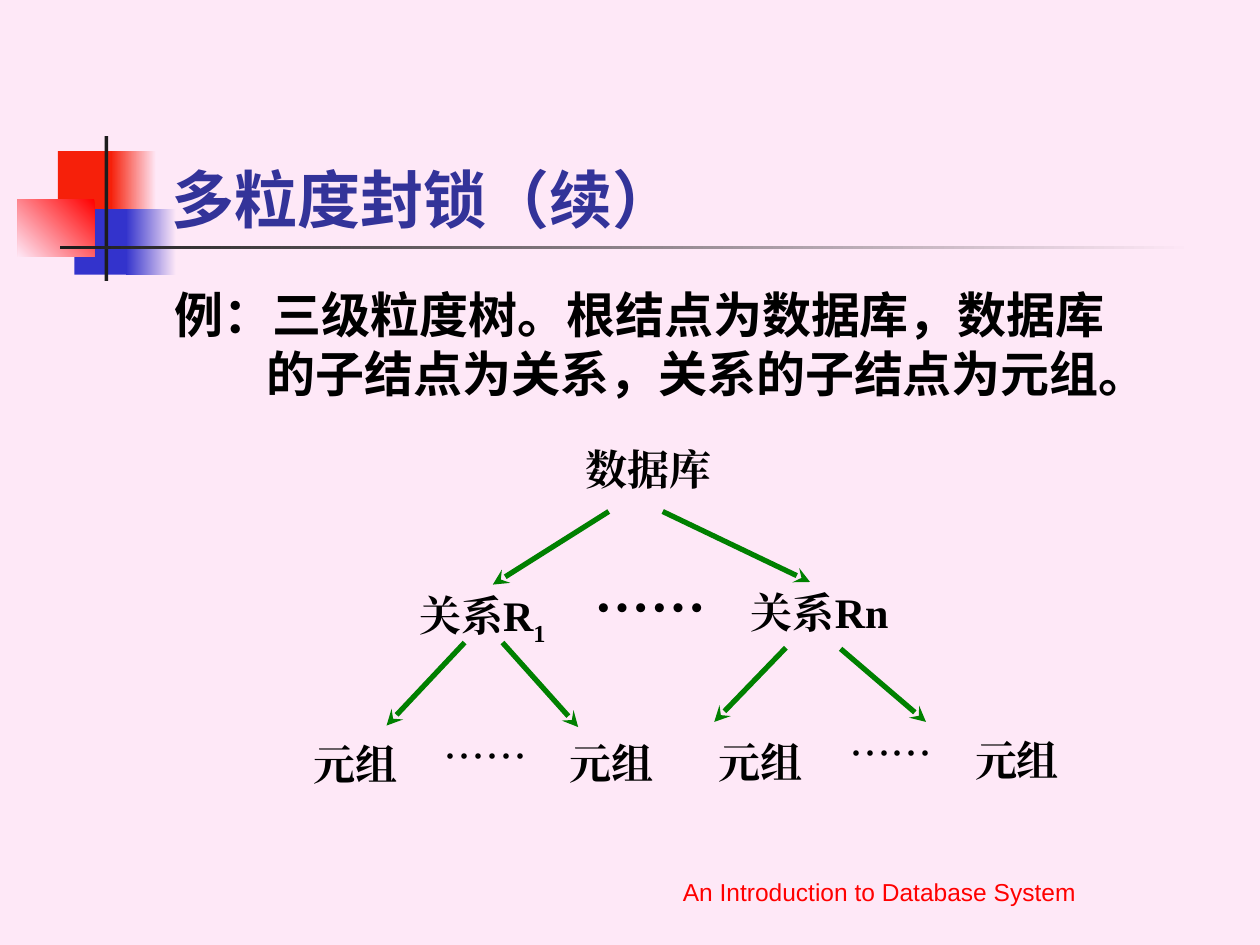
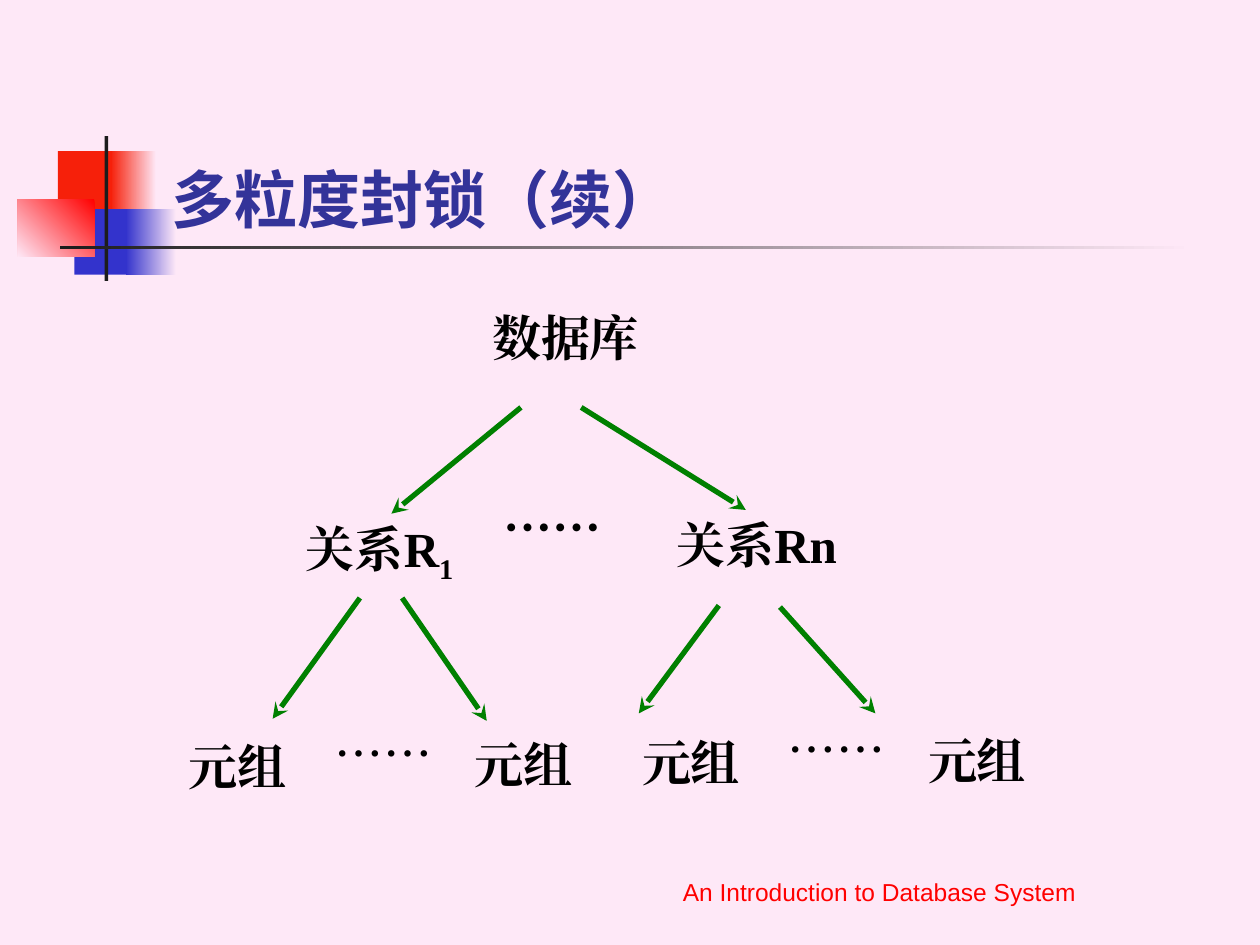
from lxml.etree import SubElement
from pptx import Presentation
from pptx.dml.color import RGBColor
from pptx.enum.dml import MSO_FILL
from pptx.enum.lang import MSO_LANGUAGE_ID
from pptx.enum.shapes import MSO_CONNECTOR, MSO_SHAPE
from pptx.enum.text import MSO_ANCHOR, PP_ALIGN
from pptx.oxml.ns import qn
from pptx.util import Inches, Pt

COLORS = {
    "background": "FEE8F7",
    "orange": "F6200A",
    "blue": "3333CC",
    "red": "FF0000",
    "dark": "1C1C1C",
    "title": "333399",
    "text": "000000",
    "arrow": "008000",
}
HEADING_FONT = "Cabin"
LABEL_FONT = "Times New Roman"
DOTS_FONT = "Noto Sans CJK SC"

DECORATION = [
    ((0.46, 1.2, 0.48, 0.52), ["orange"], 0),
    ((0.88, 1.2, 0.36, 0.52), ["background", "orange"], 180),
    ((0.59, 1.66, 0.46, 0.52), ["blue"], 0),
    ((1, 1.66, 0.4, 0.52), ["background", "blue"], 180),
    ((0.14, 1.58, 0.61, 0.46), ["red", "background"], 225),
    ((0.83, 1.08, 0.03, 1.15), ["dark"], 0),
    ((0.48, 1.95, 9, 0.03), ["background", "dark"], 180),
]

TREE_ARROWS = [
    (40.4, 19.1, 26, 38.9),
    (47.1, 19.1, 65.4, 38.2),
    (22.5, 54.6, 12.8, 77.1),
    (27.2, 54.6, 36.6, 77.5),
    (62.4, 56, 53.5, 76.1),
    (69.2, 56.3, 79.8, 76.1),
]
TREE_LABELS = [
    ((34.1, 0, 22.5, 19.8), "数据库", ""),
    ((55.2, 38.6, 22.8, 19.5), "关系Rn", ""),
    ((14.2, 38.6, 21, 18.4), "关系R", "1"),
    ((0, 79.9, 17.8, 20.1), "元组", ""),
    ((31.8, 79.5, 17.8, 20.1), "元组", ""),
    ((50.4, 79.2, 17.8, 20.1), "元组", ""),
    ((82.2, 78.8, 17.8, 20.1), "元组", ""),
]
RELATION_DOTS = (37.1, 35.5, 22.8, 27.3)
TUPLE_DOTS = [(18.3, 77.5, 16.9, 16.4), (68.7, 76.8, 16.9, 16.4)]


def rgb(name):
    return RGBColor.from_string(COLORS[name])


def place_in(frame, box):
    left, top, width, height = frame
    x, y, across, down = (share / 100 for share in box)
    return left + x * width, top + y * height, across * width, down * height


def format_run(run, size, font, color, bold):
    run.font.size = Pt(size)
    run.font.name = font
    run.font.bold = bold
    run.font.color.rgb = rgb(color)
    run.font.language_id = MSO_LANGUAGE_ID.SIMPLIFIED_CHINESE
    SubElement(run.font._element, qn("a:ea")).set("typeface", font)


def add_text(slide, box, text, size, font, color="text", bold=True,
             align=PP_ALIGN.LEFT, anchor=MSO_ANCHOR.TOP, spacing=1.0, subscript=""):
    text_frame = slide.shapes.add_textbox(*map(Inches, box)).text_frame
    text_frame.word_wrap = True
    text_frame.vertical_anchor = anchor
    text_frame.text = text
    paragraph = text_frame.paragraphs[0]
    paragraph.alignment = align
    paragraph.line_spacing = spacing
    if subscript:
        run = paragraph.add_run()
        run.text = subscript
        run.font._element.set("baseline", "-25000")
    for run in paragraph.runs:
        format_run(run, size, font, color, bold)
    return paragraph


def add_block(slide, box, colors, angle):
    shape = slide.shapes.add_shape(MSO_SHAPE.RECTANGLE, *map(Inches, box))
    shape.shadow.inherit = False
    shape.line.fill.background()
    if len(colors) == 1:
        shape.fill.solid()
        shape.fill.fore_color.rgb = rgb(colors[0])
        return
    shape.fill.gradient()
    shape.fill.gradient_angle = angle
    for stop, color in zip(shape.fill.gradient_stops, colors):
        stop.color.rgb = rgb(color)


def add_arrow(slide, start, end):
    connector = slide.shapes.add_connector(
        MSO_CONNECTOR.STRAIGHT, *map(Inches, (*start, *end)))
    connector.line.color.rgb = rgb("arrow")
    connector.line.width = Pt(3)
    SubElement(connector.line._get_or_add_ln(), qn("a:tailEnd")).set("type", "stealth")
    SubElement(connector._element.spPr, qn("a:effectLst"))


def add_tree(slide, frame, size, relation_dots_size):
    for x1, y1, x2, y2 in TREE_ARROWS:
        start = place_in(frame, (x1, y1, 0, 0))[:2]
        end = place_in(frame, (x2, y2, 0, 0))[:2]
        add_arrow(slide, start, end)
    for box, text, subscript in TREE_LABELS:
        add_text(slide, place_in(frame, box), text, size, LABEL_FONT,
                 align=PP_ALIGN.CENTER, spacing=0.96, subscript=subscript)
    add_text(slide, place_in(frame, RELATION_DOTS), "……", relation_dots_size,
             DOTS_FONT, align=PP_ALIGN.JUSTIFY, spacing=0.96)
    for box in TUPLE_DOTS:
        add_text(slide, place_in(frame, box), "……", size, DOTS_FONT,
                 bold=False, align=PP_ALIGN.JUSTIFY, spacing=0.96)


def add_example(slide, text):
    paragraph = add_text(slide, (1.29, 2.21, 7.71, 1.47), text, 28, HEADING_FONT)
    properties = paragraph._p.get_or_add_pPr()
    properties.set("marL", str(Inches(0.73)))
    properties.set("indent", str(-Inches(0.73)))


def add_base_slide(presentation, title):
    slide = presentation.slides.add_slide(presentation.slide_layouts[6])
    slide.background.fill.solid()
    slide.background.fill.fore_color.rgb = rgb("background")
    for box, colors, angle in DECORATION:
        add_block(slide, box, colors, angle)
    add_text(slide, (1.26, 0.67, 8.52, 1.25), title, 36, HEADING_FONT,
             color="title", anchor=MSO_ANCHOR.BOTTOM)
    add_text(slide, (4.37, 6.74, 5.22, 0.5), "An Introduction to Database System",
             14, "Arial", color="red", bold=False, align=PP_ALIGN.CENTER,
             anchor=MSO_ANCHOR.BOTTOM)
    return slide


def main():
    presentation = Presentation()
    presentation.slide_width = Inches(10)
    presentation.slide_height = Inches(7.5)
    title = "多粒度封锁（续）"

    example_slide = add_base_slide(presentation, title)
    add_example(example_slide, "例：三级粒度树。根结点为数据库，数据库的子结点为关系，关系的子结点为元组。")
    add_tree(example_slide, (2.25, 3.5, 6.39, 2.93), 24, 32)

    tree_slide = add_base_slide(presentation, title)
    add_tree(tree_slide, (1.25, 2.42, 7.14, 4.26), 28, 28)

    presentation.save("out.pptx")


if __name__ == "__main__":
    main()
